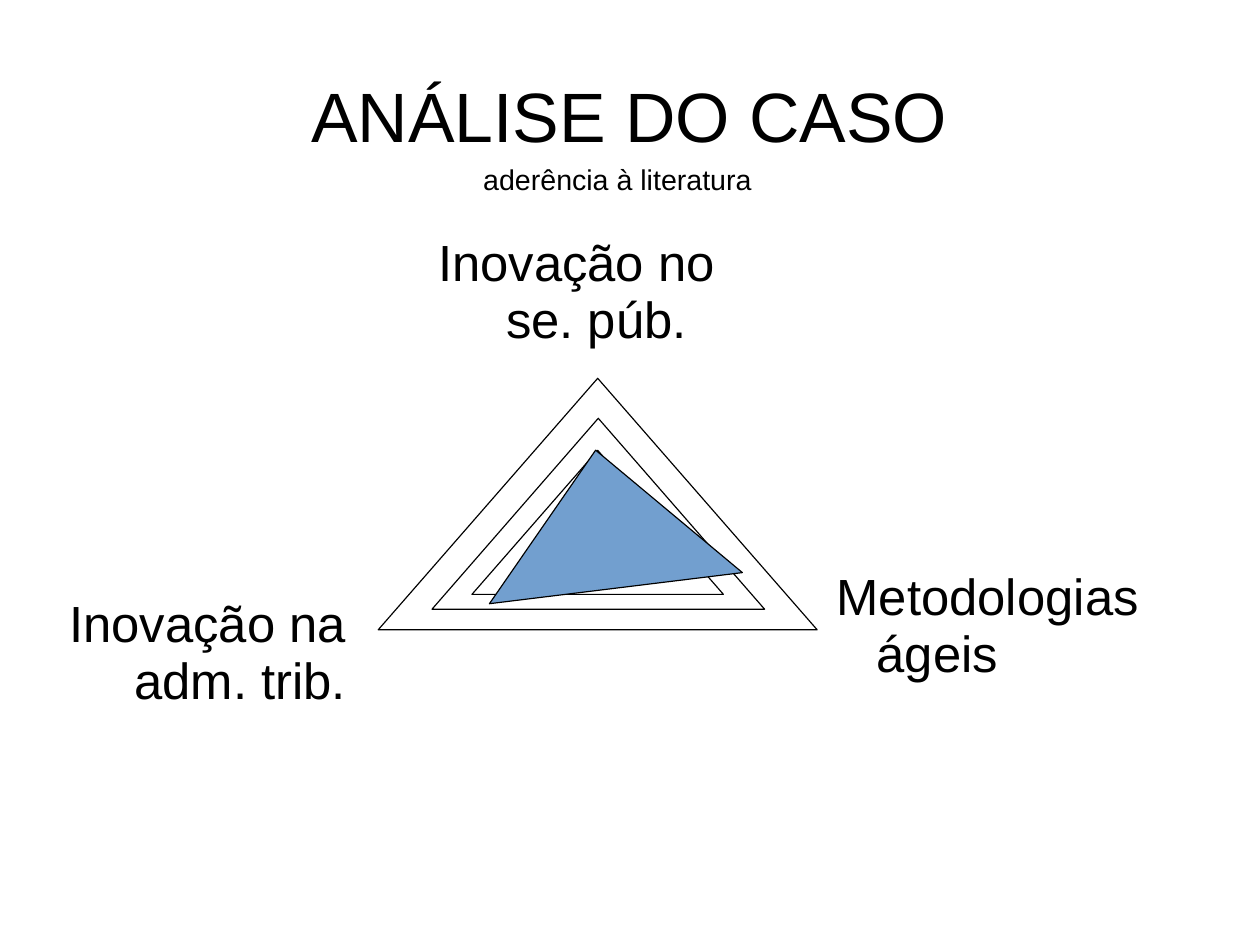
"""Build the case analysis slide with its nested triangle diagram."""
from pptx import Presentation
from pptx.dml.color import RGBColor
from pptx.enum.shapes import MSO_SHAPE
from pptx.enum.text import MSO_ANCHOR, MSO_AUTO_SIZE, PP_ALIGN
from pptx.util import Inches, Pt

BLACK = RGBColor(0x00, 0x00, 0x00)
BLUE = RGBColor(0x72, 0x9F, 0xCF)
TRIANGLE = MSO_SHAPE.ISOSCELES_TRIANGLE
TOP, MIDDLE = MSO_ANCHOR.TOP, MSO_ANCHOR.MIDDLE
NO_AUTOFIT = MSO_AUTO_SIZE.NONE
LEFT, CENTER, RIGHT = PP_ALIGN.LEFT, PP_ALIGN.CENTER, PP_ALIGN.RIGHT


def write_text(shape, text, size, align=LEFT, anchor=TOP, margins=(0, 0.02, 0, 0),
               wrap=True, hanging=False, space_after=0):
    frame = shape.text_frame
    frame.auto_size = NO_AUTOFIT
    frame.word_wrap = wrap
    frame.vertical_anchor = anchor
    frame.margin_left, frame.margin_top, frame.margin_right, frame.margin_bottom = map(Inches, margins)
    paragraph = frame.paragraphs[0]
    paragraph.text = text
    paragraph.alignment = align
    paragraph.line_spacing = 0.94
    paragraph.space_before = Pt(0)
    paragraph.space_after = Pt(space_after)
    if hanging:
        properties = paragraph._p.get_or_add_pPr()
        properties.set("marL", str(Inches(0.47)))
        properties.set("indent", str(Inches(-0.35)))
    font = paragraph.runs[0].font
    font.name = "Arial"
    font.size = Pt(size)
    font.color.rgb = BLACK


def add_triangle(left, top, width, height, fill=None):
    triangle = slide.shapes.add_shape(
        TRIANGLE, Inches(left), Inches(top), Inches(width), Inches(height))
    triangle.shadow.inherit = False
    triangle.line.color.rgb = BLACK
    triangle.line.width = Pt(0.75)
    if fill is None:
        triangle.fill.background()
    else:
        triangle.fill.solid()
        triangle.fill.fore_color.rgb = fill
    return triangle


presentation = Presentation()
presentation.slide_width = Pt(793.75)
presentation.slide_height = Pt(595.25)
slide = presentation.slides.add_slide(presentation.slide_layouts[5])

title = slide.shapes.title
title.left, title.top, title.width, title.height = map(Inches, (0.55, 0.33, 9.92, 1.38))
write_text(title, "ANÁLISE DO CASO", 44, align=CENTER, anchor=MIDDLE, margins=(0, 0.04, 0, 0))

corner_labels = [
    ("Inovação no se. púb.", 3.39, 2.04, CENTER),
    ("Metodologias ágeis", 7.2, 4.96, LEFT),
    ("Inovação na adm. trib.", -0.16, 5.2, RIGHT),
]
for text, left, top, align in corner_labels:
    label = slide.shapes.add_textbox(Inches(left), Inches(top), Inches(3.19), Inches(2.29))
    write_text(label, text, 32, align=align, hanging=True, space_after=14.3)

scale_levels = [
    (3.31, 3.31, 3.84, 2.2),
    (3.78, 3.66, 2.91, 1.67),
    (4.13, 3.94, 2.2, 1.26),
    (4.49, 4.21, 1.5, 0.86),
    (4.8, 4.49, 0.79, 0.45),
]
for level in scale_levels:
    add_triangle(*level)

adherence = add_triangle(4.2, 3.93, 2.23, 1.22, fill=BLUE)
adherence.adjustments[0] = 0.487
adherence.rotation = 353

subtitle = slide.shapes.add_textbox(Inches(4.13), Inches(1.38), Inches(2.54), Inches(0.38))
write_text(subtitle, "aderência à literatura", 18, margins=(0.1, 0.06, 0.1, 0.05), wrap=False)

presentation.save("out.pptx")
